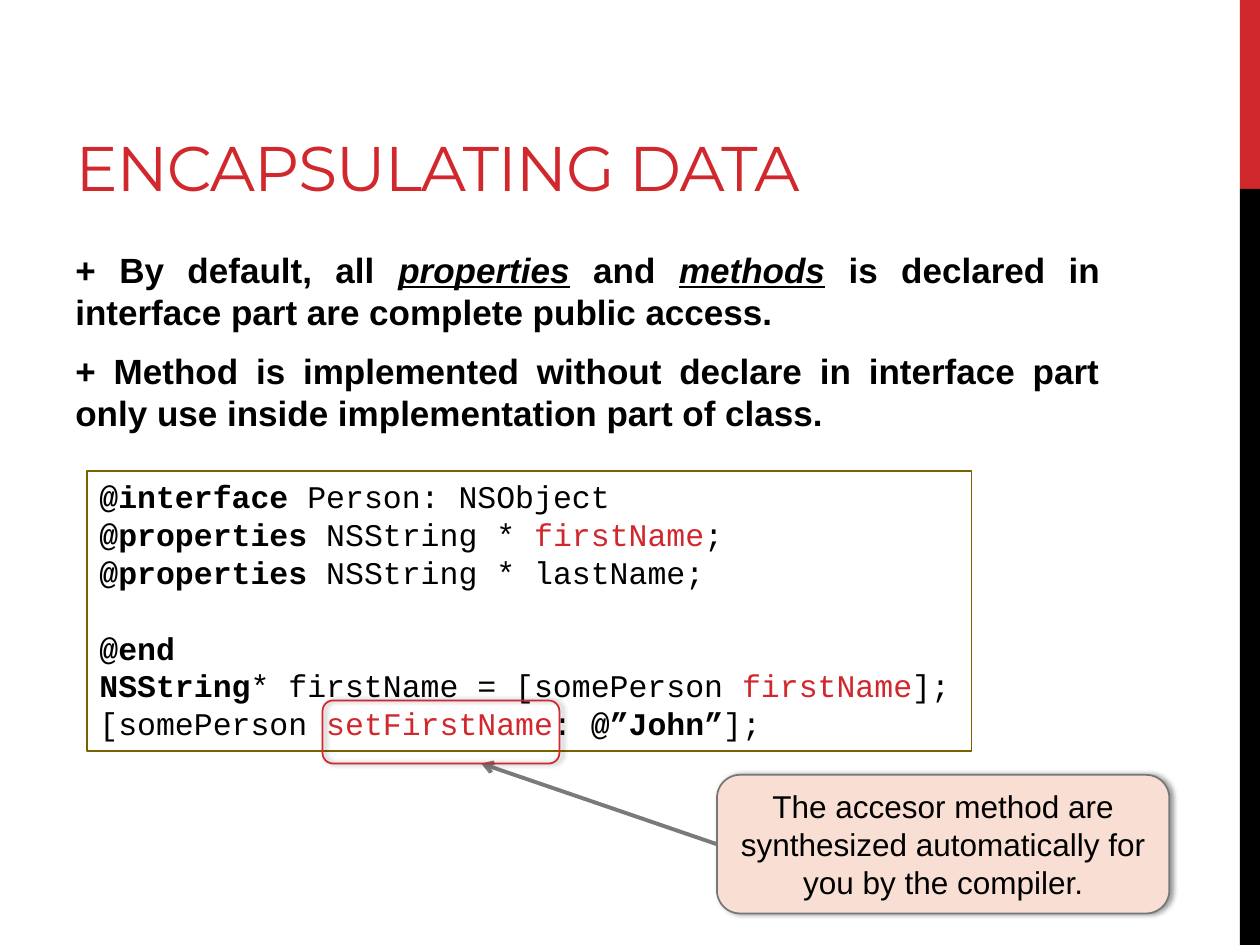
"""Build the slide about encapsulating data."""
from dataclasses import dataclass

from lxml import etree
from pptx import Presentation
from pptx import util as u
from pptx.dml.color import RGBColor
from pptx.enum import shapes, text
from pptx.oxml import ns


@dataclass(frozen=True)
class Theme:
    """Colours, fonts and type sizes."""
    red: str = "D1282E"
    black: str = "000000"
    olive: str = "7A6100"
    peach: str = "F8DED3"
    grey: str = "777777"
    arrow: str = "7A7A7A"
    heading: str = "Montserrat"
    body: str = "Arial"
    code: str = "Courier New"
    title_size: int = 36
    body_size: int = 20
    small_size: int = 18
    leading: float = 1.2


THEME = Theme()
BOLD = {"bold": True}
RED = {"color": THEME.red}
TERM = {"bold": True, "italic": True, "underline": True}

POINTS = [
    [("+ By default, all ", BOLD), ("properties", TERM), (" and ", BOLD),
     ("methods", TERM),
     (" is declared in interface part are complete public access.", BOLD)],
    [("+ Method is implemented without declare in interface part only use "
      "inside implementation part of class.", BOLD)],
]
DECLARATION = [
    [("@interface", BOLD), (" Person: NSObject", {})],
    [("@properties ", BOLD), ("NSString * ", {}), ("firstName", RED), (";", {})],
    [("@properties ", BOLD), ("NSString * lastName;", {})],
]
USAGE = [
    [("@end", BOLD)],
    [("NSString", BOLD), ("* firstName = [somePerson ", {}),
     ("firstName", RED), ("];", {})],
    [("[somePerson ", {}), ("setFirstName", RED), (": ", {}),
     ("@”John”", BOLD), ("];", {})],
]
CALLOUT = [[("The accesor method are synthesized automatically for you by "
             "the compiler.", {})]]


def inches(*lengths):
    """Turn numbers into lengths."""
    return [u.Inches(length) for length in lengths]


def add_span(para, words, font, size, color=THEME.black, **style):
    """Add one formatted run to a paragraph."""
    span = para.add_run()
    span.text = words
    span.font.name = font
    span.font.size = u.Pt(size)
    span.font.color.rgb = RGBColor.from_string(color)
    for name, value in style.items():
        setattr(span.font, name, value)
    return span


def fill_text(frame, lines, font, size, align):
    """Write each line as a paragraph and return the paragraphs."""
    paras = []
    for line in lines:
        para = frame.add_paragraph() if paras else frame.paragraphs[0]
        para.alignment = align
        para.line_spacing = u.Pt(size * THEME.leading)
        for words, style in line:
            add_span(para, words, font, size, **style)
        paras.append(para)
    return paras


def set_line(item, color, width):
    """Give a shape or connector a solid line."""
    item.line.color.rgb = RGBColor.from_string(color)
    item.line.width = u.Pt(width)


def add_shadow(shape):
    """Cast a soft shadow to the right of a shape."""
    effects = shape._element.spPr.find(ns.qn("a:effectLst"))
    shadow = etree.SubElement(
        effects, ns.qn("a:outerShdw"), blurRad=str(u.Pt(3.1)),
        dist=str(u.Pt(1.8)), dir="0", algn="ctr", rotWithShape="0")
    color = etree.SubElement(shadow, ns.qn("a:srgbClr"), val=THEME.black)
    etree.SubElement(color, ns.qn("a:alpha"), val="40000")


def add_box(page, kind, at, fill=None, line=None):
    """Add a preset shape with a plain fill and line."""
    box = page.shapes.add_shape(kind, *inches(*at))
    box.shadow.inherit = False
    if fill:
        box.fill.solid()
        box.fill.fore_color.rgb = RGBColor.from_string(fill)
    else:
        box.fill.background()
    if line:
        set_line(box, line, 1)
    else:
        box.line.fill.background()
    return box


def add_title(page, words):
    """Place and format the title."""
    title = page.shapes.title
    title.left, title.top, title.width, title.height = inches(0.5, 0.17, 6.79, 1.5)
    title.text_frame.vertical_anchor = text.MSO_ANCHOR.BOTTOM
    para = title.text_frame.paragraphs[0]
    para.alignment = text.PP_ALIGN.LEFT
    span = add_span(para, words, THEME.heading, THEME.title_size, THEME.red)
    span.font._element.set("spc", "-60")


def add_points(page):
    """Add the justified statements."""
    box = page.shapes.add_textbox(*inches(0.5, 1.92, 8.33, 1.7))
    box.text_frame.word_wrap = True
    for para in fill_text(box.text_frame, POINTS, THEME.body, THEME.body_size,
                          text.PP_ALIGN.JUSTIFY):
        para.space_after = u.Pt(10)


def add_code(page):
    """Add the framed code listing."""
    box = page.shapes.add_textbox(*inches(0.69, 3.74, 7.02, 2.22))
    set_line(box, THEME.olive, 1)
    frame = box.text_frame
    frame.word_wrap = False
    frame.auto_size = text.MSO_AUTO_SIZE.SHAPE_TO_FIT_TEXT
    paras = fill_text(frame, DECLARATION + USAGE, THEME.code, THEME.small_size,
                      text.PP_ALIGN.LEFT)
    paras[len(DECLARATION)].space_before = u.Pt(THEME.small_size * THEME.leading)


def add_callout(page):
    """Add the note, its arrow and the frame around the setter."""
    rounded = shapes.MSO_SHAPE.ROUNDED_RECTANGLE
    note = add_box(page, rounded, (5.69, 6.15, 3.59, 1.1), THEME.peach, THEME.grey)
    add_shadow(note)
    note.text_frame.word_wrap = True
    note.text_frame.vertical_anchor = text.MSO_ANCHOR.MIDDLE
    fill_text(note.text_frame, CALLOUT, THEME.body, THEME.small_size,
              text.PP_ALIGN.CENTER)
    arrow = page.shapes.add_connector(
        shapes.MSO_CONNECTOR.STRAIGHT, *inches(5.69, 6.7, 3.82, 6.06))
    set_line(arrow, THEME.arrow, 2.25)
    etree.SubElement(arrow.line._get_or_add_ln(), ns.qn("a:tailEnd"), type="arrow")
    etree.SubElement(arrow._element.spPr, ns.qn("a:effectLst"))
    add_shadow(add_box(page, rounded, (2.56, 5.56, 1.88, 0.5), line=THEME.red))


def main():
    """Build and save the deck."""
    deck = Presentation()
    deck.slide_width, deck.slide_height = inches(10, 7.5)
    page = deck.slides.add_slide(deck.slide_layouts[5])
    for top, height, color in ((0, 1.5, THEME.red), (1.5, 6, THEME.black)):
        add_box(page, shapes.MSO_SHAPE.RECTANGLE, (9.84, top, 0.16, height), color)
    add_title(page, "ENCAPSULATING DATA")
    add_points(page)
    add_code(page)
    add_callout(page)
    deck.save("out.pptx")


if __name__ == "__main__":
    main()
